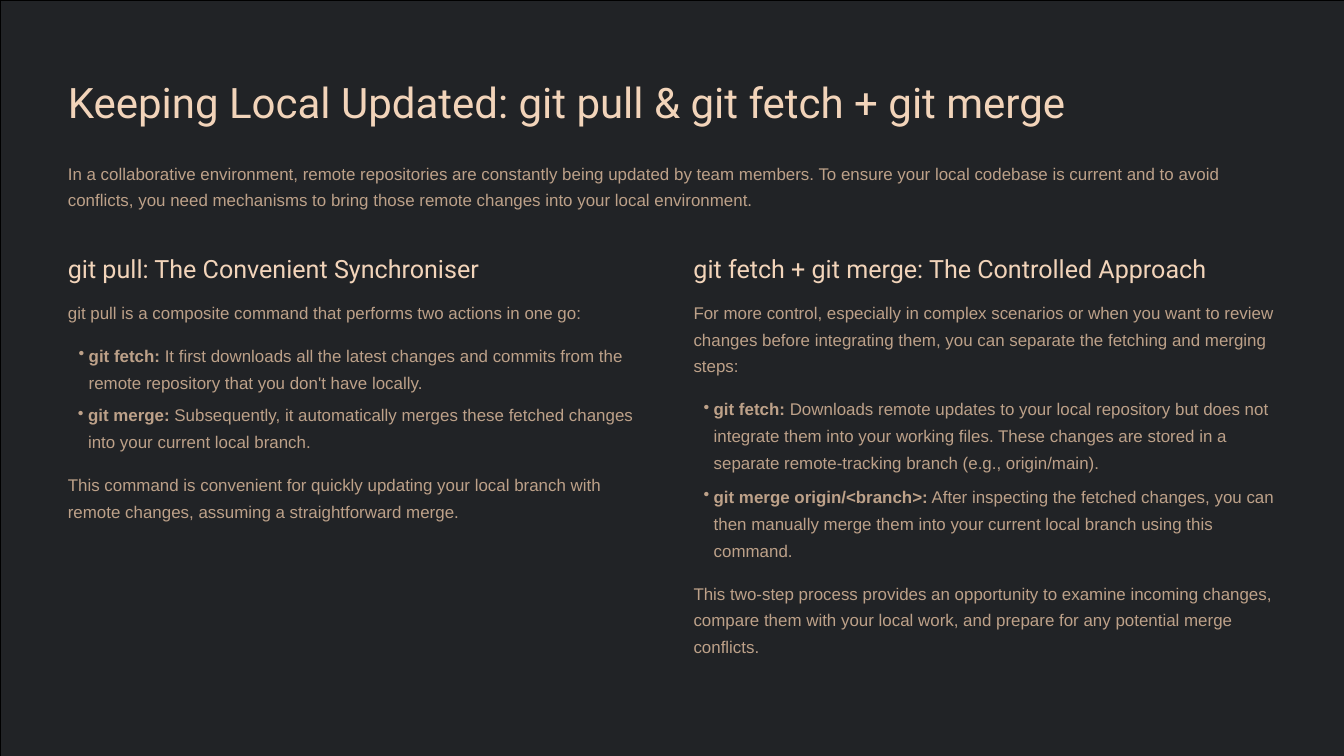
from dataclasses import dataclass

import pptx
import pptx.dml.color
import pptx.enum.text
import pptx.oxml
import pptx.oxml.ns
import pptx.util
from pptx.util import Inches

WIDTH, HEIGHT = 20, 11.25
LEFT, RIGHT = 1.01, 10.32
COLUMN_WIDTH = 8.68


@dataclass(frozen=True)
class Style:
    font: str
    size: float
    leading: float
    color: str


@dataclass(frozen=True)
class Block:
    left: float
    top: float
    width: float
    height: float
    text: str
    style: Style
    lead: str = ""  # bold opening words; a block with a lead is a bullet


TITLE = Style("Roboto", 45, 56.2, "F2D4BA")
HEADING = Style("Roboto", 26.9, 33.7, "F2D4BA")
BODY = Style("Arial", 18.1, 28.8, "BDA189")

BLOCKS = [
    Block(LEFT, 1.11, 16.1, 0.81,
          "Keeping Local Updated: git pull & git fetch + git merge", TITLE),
    Block(LEFT, 2.33, 17.98, 0.9,
          "In a collaborative environment, remote repositories are constantly being "
          "updated by team members. To ensure your local codebase is current and to "
          "avoid conflicts, you need mechanisms to bring those remote changes into "
          "your local environment.", BODY),

    Block(LEFT, 3.75, 6.82, 0.49, "git pull: The Convenient Synchroniser", HEADING),
    Block(LEFT, 4.4, COLUMN_WIDTH, 0.5,
          "git pull is a composite command that performs two actions in one go:", BODY),
    Block(LEFT + 0.01, 5.04, COLUMN_WIDTH, 0.9,
          " It first downloads all the latest changes and commits from the remote "
          "repository that you don't have locally.", BODY, "git fetch:"),
    Block(LEFT, 5.93, COLUMN_WIDTH, 0.9,
          " Subsequently, it automatically merges these fetched changes into your "
          "current local branch.", BODY, "git merge:"),
    Block(LEFT, 6.97, COLUMN_WIDTH, 0.9,
          "This command is convenient for quickly updating your local branch with "
          "remote changes, assuming a straightforward merge.", BODY),

    Block(RIGHT, 3.75, 8.34, 0.49,
          "git fetch + git merge: The Controlled Approach", HEADING),
    Block(RIGHT, 4.4, COLUMN_WIDTH, 1.31,
          "For more control, especially in complex scenarios or when you want to "
          "review changes before integrating them, you can separate the fetching and "
          "merging steps:", BODY),
    Block(RIGHT, 5.84, COLUMN_WIDTH, 1.31,
          " Downloads remote updates to your local repository but does not integrate "
          "them into your working files. These changes are stored in a separate "
          "remote-tracking branch (e.g., origin/main).", BODY, "git fetch:"),
    Block(RIGHT, 7.14, COLUMN_WIDTH, 1.31,
          " After inspecting the fetched changes, you can then manually merge them "
          "into your current local branch using this command.", BODY,
          "git merge origin/<branch>:"),
    Block(RIGHT, 8.58, COLUMN_WIDTH, 1.31,
          "This two-step process provides an opportunity to examine incoming changes, "
          "compare them with your local work, and prepare for any potential merge "
          "conflicts.", BODY),
]


def rgb(color: str) -> pptx.dml.color.RGBColor:
    return pptx.dml.color.RGBColor.from_string(color)


def add_backdrop(s, fill: str, line: str) -> None:
    fb = s.shapes.build_freeform(0, 0)
    fb.add_line_segments([(Inches(WIDTH), 0), (Inches(WIDTH), Inches(HEIGHT)),
                          (0, Inches(HEIGHT))], close=True)
    sp = fb.convert_to_shape()
    sp.shadow.inherit = False
    sp.fill.solid()
    sp.fill.fore_color.rgb = rgb(fill)
    sp.line.color.rgb = rgb(line)
    sp.line.width = pptx.util.Pt(1)


def add_run(p, text: str, style: Style, bold: bool = False) -> None:
    r = p.add_run()
    r.text = text
    r.font.name = style.font
    r.font.size = pptx.util.Pt(style.size)
    r.font.color.rgb = rgb(style.color)
    r.font.bold = bold


def set_bullet(p) -> None:
    p.level = 1
    pPr = p._p.get_or_add_pPr()
    pPr.set("marL", str(Inches(0.3)))
    pPr.set("indent", str(Inches(-0.15)))
    pPr.append(pptx.oxml.parse_xml(
        f'<a:buChar {pptx.oxml.ns.nsdecls("a")} char="•"/>'))


def add_block(s, block: Block) -> None:
    sp = s.shapes.add_textbox(Inches(block.left), Inches(block.top),
                              Inches(block.width), Inches(block.height))
    tf = sp.text_frame
    tf.word_wrap = True
    tf.auto_size = pptx.enum.text.MSO_AUTO_SIZE.SHAPE_TO_FIT_TEXT
    tf.margin_left = tf.margin_top = tf.margin_right = tf.margin_bottom = 0
    p = tf.paragraphs[0]
    p.line_spacing = pptx.util.Pt(block.style.leading)
    if block.lead:
        set_bullet(p)
        add_run(p, block.lead, block.style, bold=True)
    add_run(p, block.text, block.style)


def main() -> None:
    prs = pptx.Presentation()
    prs.slide_width, prs.slide_height = Inches(WIDTH), Inches(HEIGHT)
    s = prs.slides.add_slide(prs.slide_layouts[6])
    add_backdrop(s, "212326", "000000")
    for block in BLOCKS:
        add_block(s, block)
    prs.save("out.pptx")


if __name__ == "__main__":
    main()
